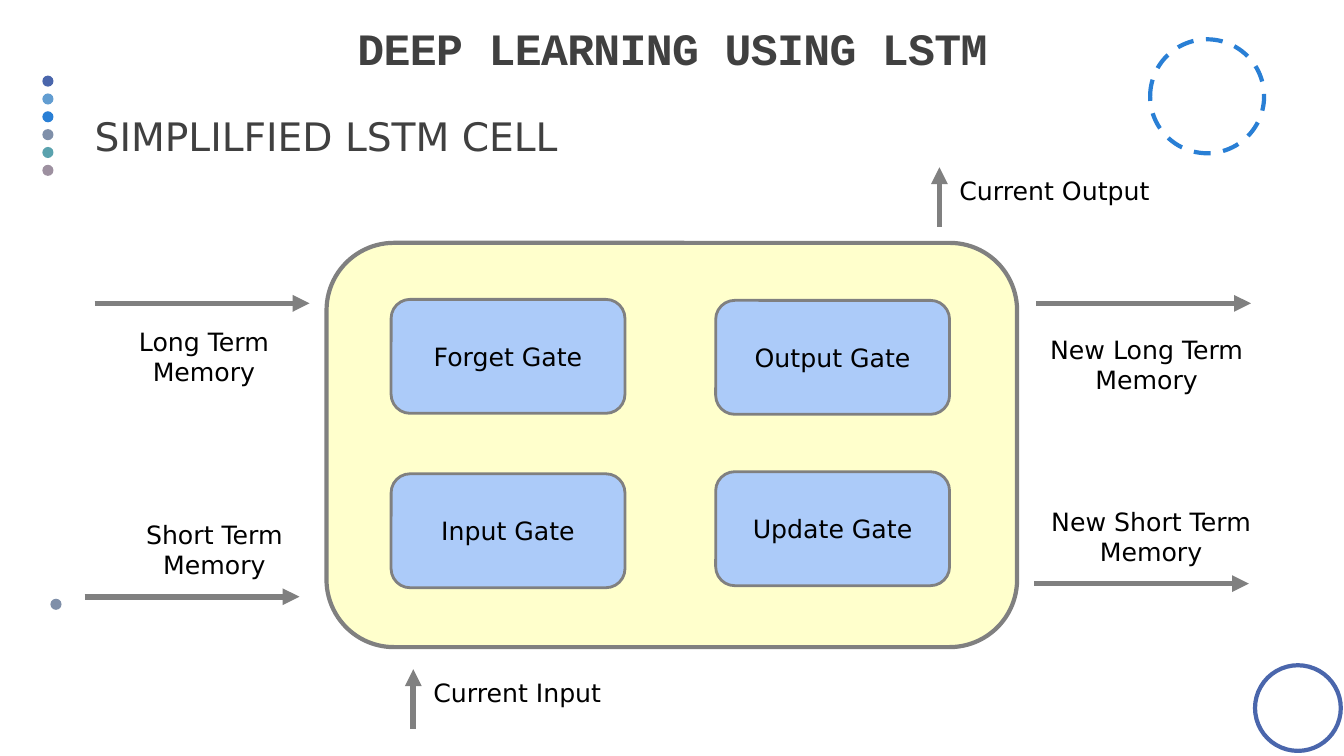
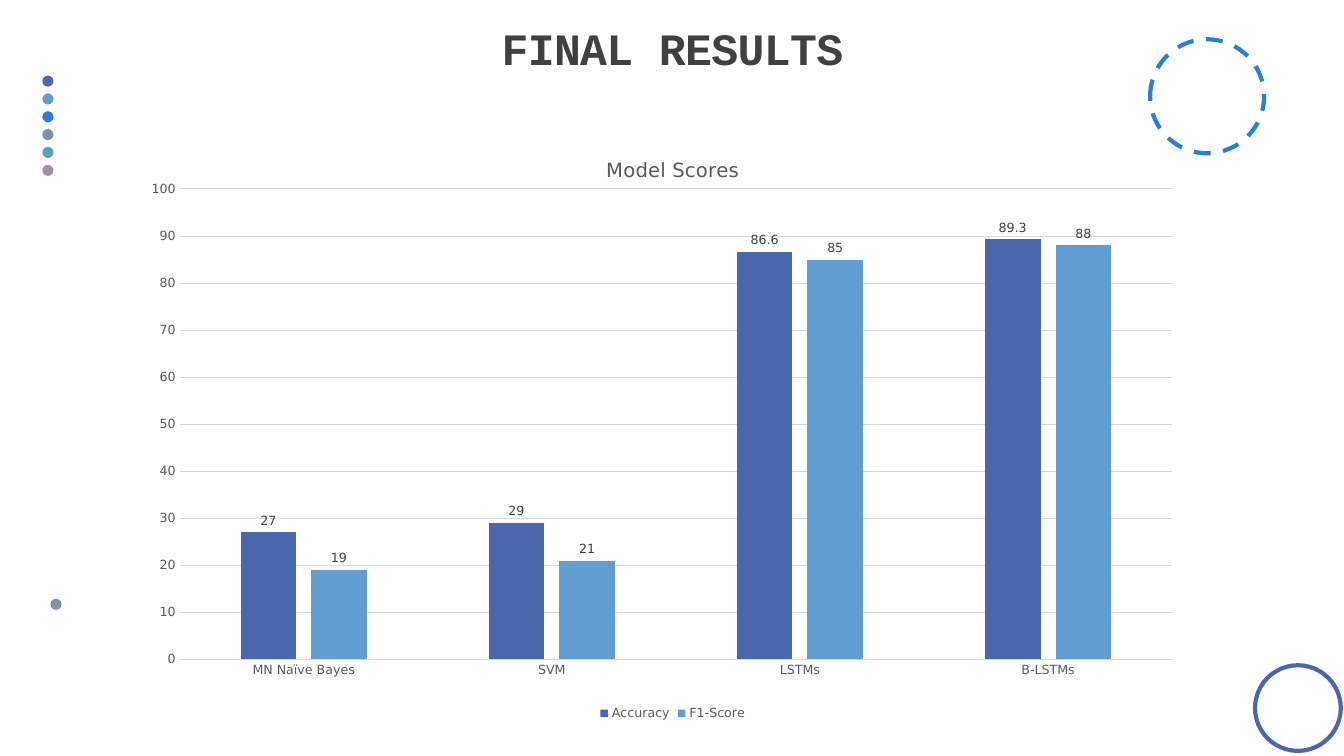
from pptx import Presentation, util as u
from pptx.chart.data import CategoryChartData
from pptx.dml.color import RGBColor
from pptx.enum import chart as charts, dml, shapes, text
from pptx.oxml import parse_xml
from pptx.oxml.ns import nsdecls, qn
from pptx.oxml.xmlchemy import OxmlElement

INDIGO = RGBColor(0x4A, 0x66, 0xAC)
SKY = RGBColor(0x62, 0x9D, 0xD1)
BLUE = RGBColor(0x29, 0x7F, 0xD5)
SLATE = RGBColor(0x7F, 0x8F, 0xA9)
TEAL = RGBColor(0x5A, 0xA2, 0xAE)
MAUVE = RGBColor(0x9D, 0x90, 0xA0)
GRAY = RGBColor(0x80, 0x80, 0x80)
PALE_BLUE = RGBColor(0xAC, 0xCB, 0xF9)
PALE_YELLOW = RGBColor(0xFF, 0xFF, 0xCC)
DARK = RGBColor(0x40, 0x40, 0x40)
MEDIUM = RGBColor(0x59, 0x59, 0x59)
LIGHT = RGBColor(0xD9, 0xD9, 0xD9)
BLACK = RGBColor(0, 0, 0)
WHITE = RGBColor(0xFF, 0xFF, 0xFF)
TITLE_FONT, BODY_FONT = "Courier New", "DejaVu Sans"
OVAL = shapes.MSO_SHAPE.OVAL
ROUNDED = shapes.MSO_SHAPE.ROUNDED_RECTANGLE
CENTER = text.PP_ALIGN.CENTER
LEFT = text.PP_ALIGN.LEFT

deck = Presentation()
deck.slide_width, deck.slide_height = u.Inches(13.333), u.Inches(7.5)


def place(*lengths):
    """Turn alternating shares (percent) of slide width and height into EMU."""
    sides = (deck.slide_width, deck.slide_height)
    return [round(sides[i % 2] * share / 100) for i, share in enumerate(lengths)]


def write(box, lines, size=18, font=BODY_FONT, color=BLACK, bold=False,
          aligns=(CENTER,), anchor=text.MSO_ANCHOR.MIDDLE, wrap=True, inset=0.1):
    """Fill a box with one paragraph per line; return the paragraphs."""
    frame = box.text_frame
    frame.word_wrap, frame.vertical_anchor = wrap, anchor
    frame.margin_left = frame.margin_right = u.Inches(inset)
    for index, (line, align) in enumerate(zip(lines, aligns)):
        para = frame.add_paragraph() if index else frame.paragraphs[0]
        para.alignment = align
        span = para.add_run()
        span.text = line
        span.font.size, span.font.name, span.font.bold = u.Pt(size), font, bold
        span.font.color.rgb = color
    return frame.paragraphs


# Shared dots, rings and title
dots = [(3.15, 10 + 2.36 * i, color)
        for i, color in enumerate((INDIGO, SKY, BLUE, SLATE, TEAL, MAUVE))]
dots.append((3.75, 79.2, SLATE))
rings = [
    (85.58, 5.2, 8.48, 15.07, BLUE, dml.MSO_LINE.DASH),
    (93.38, 88, 6.38, 11.33, INDIGO, dml.MSO_LINE.SOLID),
]
pages = []
for title in ("DEEP LEARNING USING LSTM", "FINAL RESULTS"):
    page = deck.slides.add_slide(deck.slide_layouts[6])
    pages.append(page)
    for left, top, color in dots:
        dot = page.shapes.add_shape(OVAL, *place(left, top, 0.83, 1.47))
        dot.shadow.inherit = False
        dot.fill.solid()
        dot.fill.fore_color.rgb = color
        dot.line.fill.background()
    for *area, color, dash in rings:
        ring = page.shapes.add_shape(OVAL, *place(*area))
        ring.shadow.inherit = False
        ring.fill.background()
        ring.line.color.rgb, ring.line.width = color, u.Pt(3)
        ring.line.dash_style = dash
    box = page.shapes.add_textbox(*place(18.45, 0.67, 63.15, 12.13))
    box.fill.solid()
    box.fill.fore_color.rgb = WHITE
    para = write(box, [title], size=32, font=TITLE_FONT, color=DARK, bold=True, inset=0)[0]
    para.line_spacing = 0.9
    para.runs[0].font._element.set("spc", "-50")

# LSTM cell diagram
page = pages[0]
box = page.shapes.add_textbox(*place(7.05, 14.27, 86.93, 82.13))
para = write(box, ["SIMPLILFIED LSTM CELL"], size=28, color=DARK, aligns=[LEFT],
             anchor=text.MSO_ANCHOR.TOP, inset=0)[0]
para.space_before, para.space_after = u.Pt(12), u.Pt(2)

blocks = [("", 24.3, 32.13, 51.38, 53.47, PALE_YELLOW, 3)]
blocks += [(name, left, top, 17.4, 15.07, PALE_BLUE, 2) for name, left, top in (
    ("Forget Gate", 29.1, 39.6),
    ("Output Gate", 53.25, 39.73),
    ("Update Gate", 53.25, 62.4),
    ("Input Gate", 29.1, 62.67),
)]
for name, *area, color, width in blocks:
    block = page.shapes.add_shape(ROUNDED, *place(*area))
    block.shadow.inherit = False
    block.fill.solid()
    block.fill.fore_color.rgb = color
    block.line.color.rgb, block.line.width = GRAY, u.Pt(width)
    if name:
        write(block, [name])

ACROSS, UP = (15.98, 0), (0, -7.87)
flows = [
    (7.05, 40.13, ACROSS), (6.3, 78.93, ACROSS),
    (77.1, 40.13, ACROSS), (76.95, 77.2, ACROSS),
    (30.75, 96.4, UP), (69.9, 30, UP),
]
for x, y, (dx, dy) in flows:
    arrow = page.shapes.add_connector(shapes.MSO_CONNECTOR.STRAIGHT,
                                      *place(x, y, x + dx, y + dy))
    arrow.line.color.rgb, arrow.line.width = GRAY, u.Pt(4)
    properties = arrow.element.spPr
    head = OxmlElement("a:tailEnd")
    head.set("type", "triangle")
    properties.find(qn("a:ln")).append(head)
    properties.append(OxmlElement("a:effectLst"))

labels = [
    (["Long Term", "Memory"], 9.6, 42.53, 12.15, 9.47),
    (["Short Term", "Memory"], 10.13, 68, 12.75, 9.47),
    (["New Long Term", "Memory"], 77.4, 43.6, 16.95, 9.47),
    (["New Short Term", "Memory"], 77.48, 66.27, 17.55, 9.47),
    (["Current Input"], 31.5, 88.93, 14.55, 5.33),
    (["Current Output"], 70.65, 22.53, 15.98, 5.33),
]
for lines, *area in labels:
    box = page.shapes.add_textbox(*place(*area))
    write(box, lines, aligns=(LEFT, CENTER), anchor=text.MSO_ANCHOR.TOP, wrap=False)
    box.text_frame.auto_size = text.MSO_AUTO_SIZE.SHAPE_TO_FIT_TEXT

# Model scores chart
scores = CategoryChartData()
scores.categories = ["MN Naïve Bayes", "SVM", "LSTMs", "B-LSTMs"]
scores.add_series("Accuracy", (27, 29, 86.6, 89.3))
scores.add_series("F1-Score", (19, 21, 85, 88))
chart = pages[1].shapes.add_chart(charts.XL_CHART_TYPE.COLUMN_CLUSTERED,
                                  *place(10, 18, 80.1, 77.87), scores).chart
chart.font.size, chart.font.name = u.Pt(10), BODY_FONT
chart.has_title = True
chart.chart_title.include_in_layout = False
chart.chart_title.text_frame.text = "Model Scores"
title_font = chart.chart_title.text_frame.paragraphs[0].runs[0].font
title_font.size, title_font.bold = u.Pt(14), False
chart.has_legend = True
chart.legend.position = charts.XL_LEGEND_POSITION.BOTTOM
chart.legend.include_in_layout = False

categories, values = chart.category_axis, chart.value_axis
for axis in (categories, values):
    axis.major_tick_mark = axis.minor_tick_mark = charts.XL_TICK_MARK.NONE
values.minimum_scale, values.maximum_scale, values.major_unit = 0, 100, 10
values.format.line.fill.background()
for line in (categories.format.line, values.major_gridlines.format.line):
    line.color.rgb, line.width = LIGHT, u.Pt(0.75)

plot = chart.plots[0]
plot.gap_width, plot.overlap, plot.vary_by_categories = 219, -27, False
fonts = [(title_font, MEDIUM)]
for part in (chart.legend, categories.tick_labels, values.tick_labels):
    part.font.size = u.Pt(9)
    fonts.append((part.font, MEDIUM))
for series, color in zip(plot.series, (INDIGO, SKY)):
    series.format.fill.solid()
    series.format.fill.fore_color.rgb = color
    tags = series.data_labels
    tags.show_value = True
    tags.position = charts.XL_LABEL_POSITION.OUTSIDE_END
    tags.font.size = u.Pt(9)
    fonts.append((tags.font, DARK))
for font, color in fonts:
    font.name, font.color.rgb = BODY_FONT, color

area = chart.element.find(qn("c:chart")).find(qn("c:plotArea"))
for layout in area.findall(qn("c:layout")):
    area.remove(layout)
modes = '<c:layoutTarget val="inner"/><c:xMode val="edge"/><c:yMode val="edge"/>'
shares = "".join(f'<c:{side} val="{share}"/>' for side, share in
                 (("x", 0.042), ("y", 0.09), ("w", 0.922), ("h", 0.799)))
area.insert(0, parse_xml(f'<c:layout {nsdecls("c")}><c:manualLayout>{modes}{shares}'
                         '</c:manualLayout></c:layout>'))

deck.save("out.pptx")
